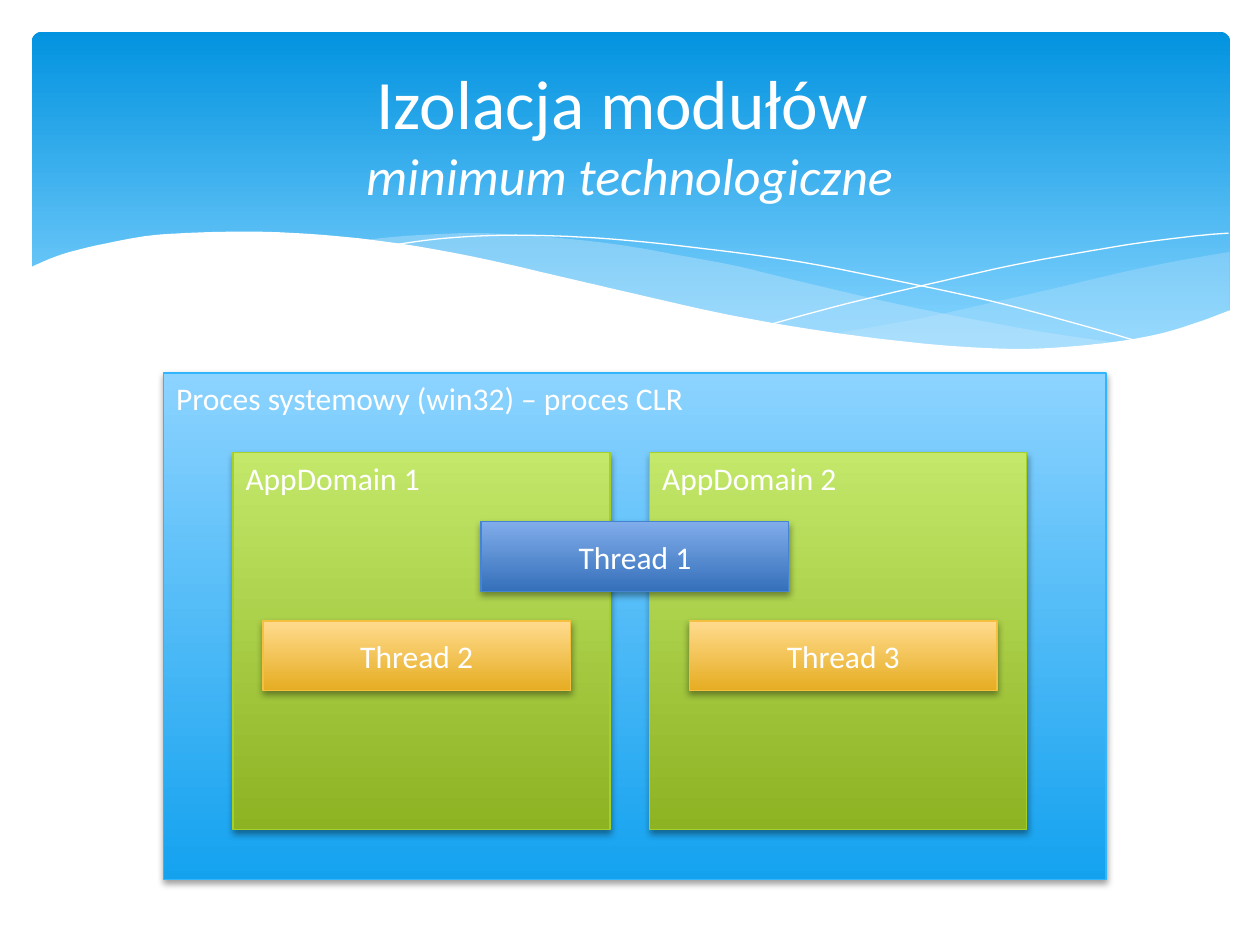
from itertools import chain

from lxml.etree import SubElement
from pptx import Presentation
from pptx.dml.color import RGBColor
from pptx.enum.shapes import MSO_SHAPE
from pptx.enum.text import MSO_ANCHOR, MSO_AUTO_SIZE, PP_ALIGN
from pptx.oxml.ns import qn
from pptx.util import Cm, Pt

TITLE = "Izolacja modułów "
SUBTITLE = "minimum technologiczne"

# text, kind, left, top (cm)
BOXES = [
    ("Proces systemowy (win32) – proces CLR", "process", 3.3, 7.52),
    ("AppDomain 1", "domain", 4.7, 9.12),
    ("AppDomain 2", "domain", 13.1, 9.12),
    ("Thread 1", "shared thread", 9.7, 10.52),
    ("Thread 2", "thread", 5.3, 12.52),
    ("Thread 3", "thread", 13.9, 12.52),
]
SIZES = {
    "process": (19, 10.21),
    "domain": (7.6, 7.6),
    "shared thread": (6.2, 1.4),
    "thread": (6.2, 1.4),
}

THEME = {
    "font": "Calibri",
    "text": "FFFFFF",
    "title size": 39.6,
    "subtitle size": 29.7,
    "box size": 18,
    "header": ("0293E0", "83D3FE"),
    "mist": "C6E7FC",
    "wave": "FFFFFF",
    # gradient top, gradient bottom, outline
    "process": ("8CD3FF", "14A2EF", "31B6FD"),
    "domain": ("C3E86A", "8DB222", "A5D028"),
    "shared thread": ("80ACEA", "3570BA", "4584D3"),
    "thread": ("FFDB8E", "E6AD22", "F5C040"),
}

# Header waves: smooth curves joined end to end, in hundredths of an inch
WAVE_UNIT = Cm(0.0254)
RIGHT_MIST = [
    [(976, 200), (935, 207), (891, 216), (832, 230), (779, 242), (729, 253), (661, 265)],
    [(661, 265), (705, 271), (745, 275), (781, 277), (814, 278), (844, 277),
     (872, 274), (897, 270), (921, 265), (942, 259), (963, 252), (976, 247)],
]
LEFT_MIST = [
    [(893, 273), (837, 265), (775, 254), (706, 240), (629, 222), (584, 211), (541, 203),
     (502, 196), (465, 191), (420, 187), (380, 185), (344, 186), (313, 188), (286, 191)],
    [(286, 191), (342, 199), (404, 211), (449, 222), (530, 240), (601, 255), (665, 266),
     (722, 274), (773, 277), (818, 278), (857, 277), (893, 273)],
]
FALLING_LINE = [
    [(309, 195), (344, 190), (387, 187), (433, 187), (489, 190), (556, 197),
     (636, 208), (727, 226), (795, 241), (869, 261), (907, 272)],
]
RISING_LINE = [
    [(613, 257), (672, 241), (748, 223), (806, 210), (866, 199), (910, 192),
     (951, 187), (975, 185)],
]
WHITE_WAVE = [
    [(977, 246), (950, 256), (920, 265), (887, 271), (850, 275), (809, 277), (761, 275),
     (708, 270), (648, 262), (579, 250), (503, 233), (447, 220), (391, 207), (340, 197),
     (292, 190), (250, 186), (211, 184), (177, 184), (146, 185), (119, 187), (95, 191),
     (67, 197), (46, 203), (29, 210), (23, 213)],
    [(23, 329), (977, 329)],
]


def smooth(points, steps=6):
    """Points along a Catmull-Rom spline through the given points."""
    padded = [points[0], *points, points[-1]]
    curve = [points[0]]
    for a, b, c, d in zip(padded, padded[1:], padded[2:], padded[3:]):
        for step in range(1, steps + 1):
            t = step / steps
            curve.append(tuple(
                (2 * q + (r - p) * t + (2 * p - 5 * q + 4 * r - s) * t ** 2
                 + (3 * q - p - 3 * r + s) * t ** 3) / 2
                for p, q, r, s in zip(a, b, c, d)))
    return curve


def add_wave(shapes, curves, closed, color, opacity=100):
    precision = 10
    points = [(x * precision, y * precision)
              for x, y in chain.from_iterable(map(smooth, curves))]
    builder = shapes.build_freeform(*points[0], scale=WAVE_UNIT / precision)
    builder.add_line_segments(points[1:], close=closed)
    wave = builder.convert_to_shape()
    wave.shadow.inherit = False
    rgb = RGBColor.from_string(color)
    if not closed:
        wave.fill.background()
        wave.line.color.rgb = rgb
        wave.line.width = Pt(0)
        return
    wave.line.fill.background()
    wave.fill.solid()
    wave.fill.fore_color.rgb = rgb
    if opacity < 100:
        paint = wave.element.spPr.find(qn("a:solidFill")).find(qn("a:srgbClr"))
        SubElement(paint, qn("a:alpha"), val=str(opacity * 1000))


def fill_downward(shape, top, bottom, end=1.0):
    shape.fill.gradient()
    shape.fill.gradient_angle = 270
    for stop, color, position in zip(shape.fill.gradient_stops, (top, bottom), (0, end)):
        stop.color.rgb = RGBColor.from_string(color)
        stop.position = position


def drop_shadow(shape):
    shape.shadow.inherit = False
    effects = shape.element.spPr.find(qn("a:effectLst"))
    shadow = SubElement(effects, qn("a:outerShdw"), blurRad=str(Pt(4)), dist=str(Pt(2)),
                        dir="5400000", rotWithShape="0")
    black = SubElement(shadow, qn("a:srgbClr"), val="000000")
    SubElement(black, qn("a:alpha"), val="38000")


def style_run(run, size, italic=False):
    run.font.name = THEME["font"]
    run.font.size = Pt(size)
    run.font.italic = italic
    run.font.color.rgb = RGBColor.from_string(THEME["text"])


def add_header(shapes):
    banner = shapes.add_shape(MSO_SHAPE.ROUNDED_RECTANGLE,
                              Cm(0.64), Cm(0.64), Cm(24.16), Cm(6.86))
    banner.adjustments[0] = 0.03
    banner.shadow.inherit = False
    banner.line.fill.background()
    fill_downward(banner, *THEME["header"], end=0.9)
    add_wave(shapes, RIGHT_MIST, True, THEME["mist"], 29)
    add_wave(shapes, LEFT_MIST, True, THEME["mist"], 40)
    for line in (FALLING_LINE, RISING_LINE):
        add_wave(shapes, line, False, THEME["wave"])
    add_wave(shapes, WHITE_WAVE, True, THEME["wave"])


def add_title(shapes):
    title = shapes.title
    title.element.getparent().append(title.element)  # in front of the header
    title.left, title.top, title.width, title.height = map(Cm, (1.27, 0.94, 22.86, 3.48))
    frame = title.text_frame
    frame.text = f"{TITLE}\v{SUBTITLE}"
    frame.auto_size = MSO_AUTO_SIZE.NONE
    frame.vertical_anchor = MSO_ANCHOR.MIDDLE
    heading = frame.paragraphs[0]
    heading.alignment = PP_ALIGN.CENTER
    main, sub = heading.runs
    style_run(main, THEME["title size"])
    style_run(sub, THEME["subtitle size"], italic=True)


def add_box(shapes, label, kind, left, top):
    box = shapes.add_shape(MSO_SHAPE.RECTANGLE, *map(Cm, (left, top, *SIZES[kind])))
    upper, lower, outline = THEME[kind]
    fill_downward(box, upper, lower)
    box.line.color.rgb = RGBColor.from_string(outline)
    box.line.width = Pt(0.75)
    drop_shadow(box)
    is_thread = kind.endswith("thread")
    frame = box.text_frame
    frame.text = label
    frame.vertical_anchor = MSO_ANCHOR.MIDDLE if is_thread else MSO_ANCHOR.TOP
    caption = frame.paragraphs[0]
    caption.alignment = PP_ALIGN.CENTER if is_thread else PP_ALIGN.LEFT
    style_run(caption.runs[0], THEME["box size"])


def main():
    deck = Presentation()
    deck.slide_width, deck.slide_height = Cm(25.4), Cm(19.05)
    shapes = deck.slides.add_slide(deck.slide_layouts[5]).shapes
    add_header(shapes)
    add_title(shapes)
    for box in BOXES:
        add_box(shapes, *box)
    deck.save("out.pptx")


if __name__ == "__main__":
    main()
